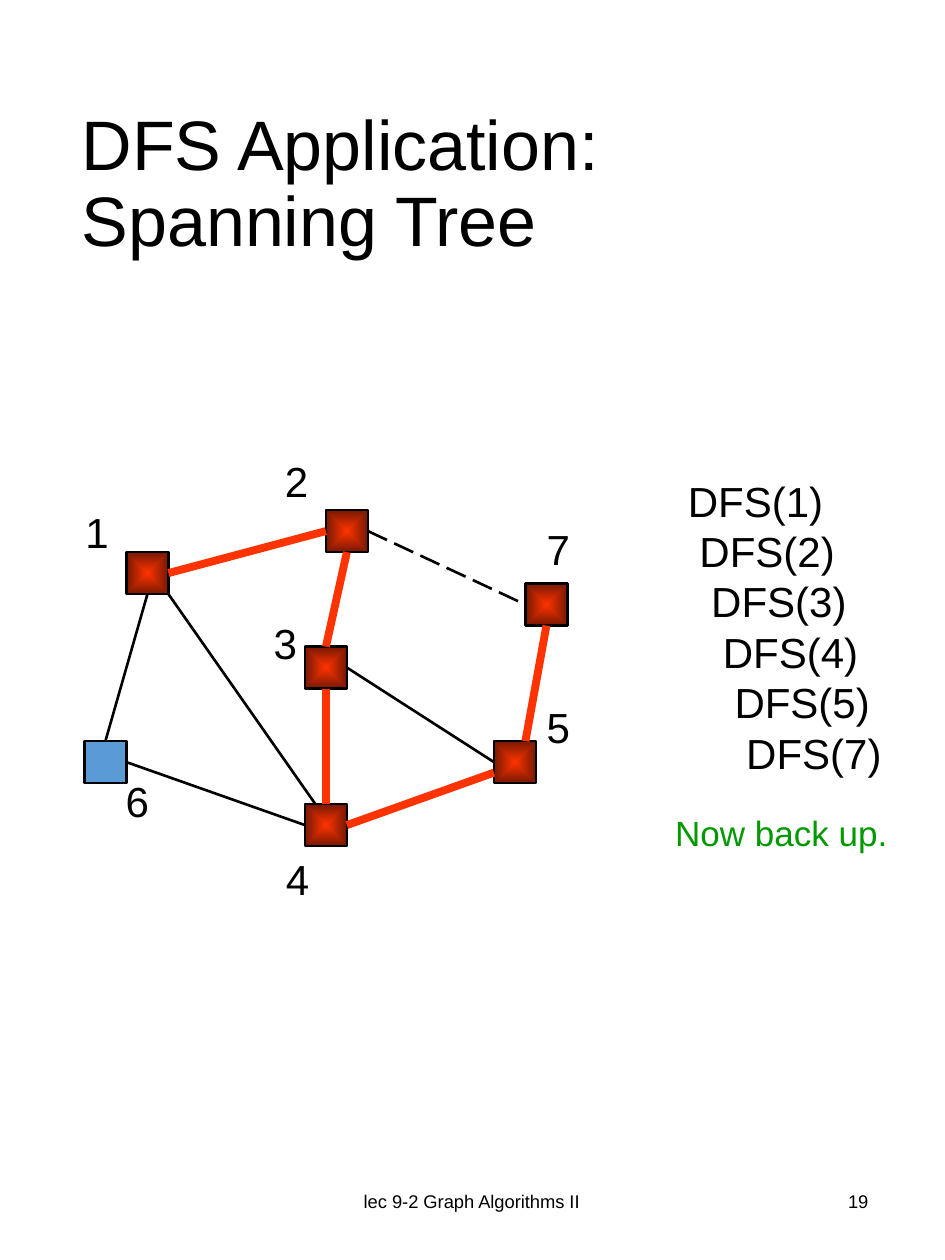
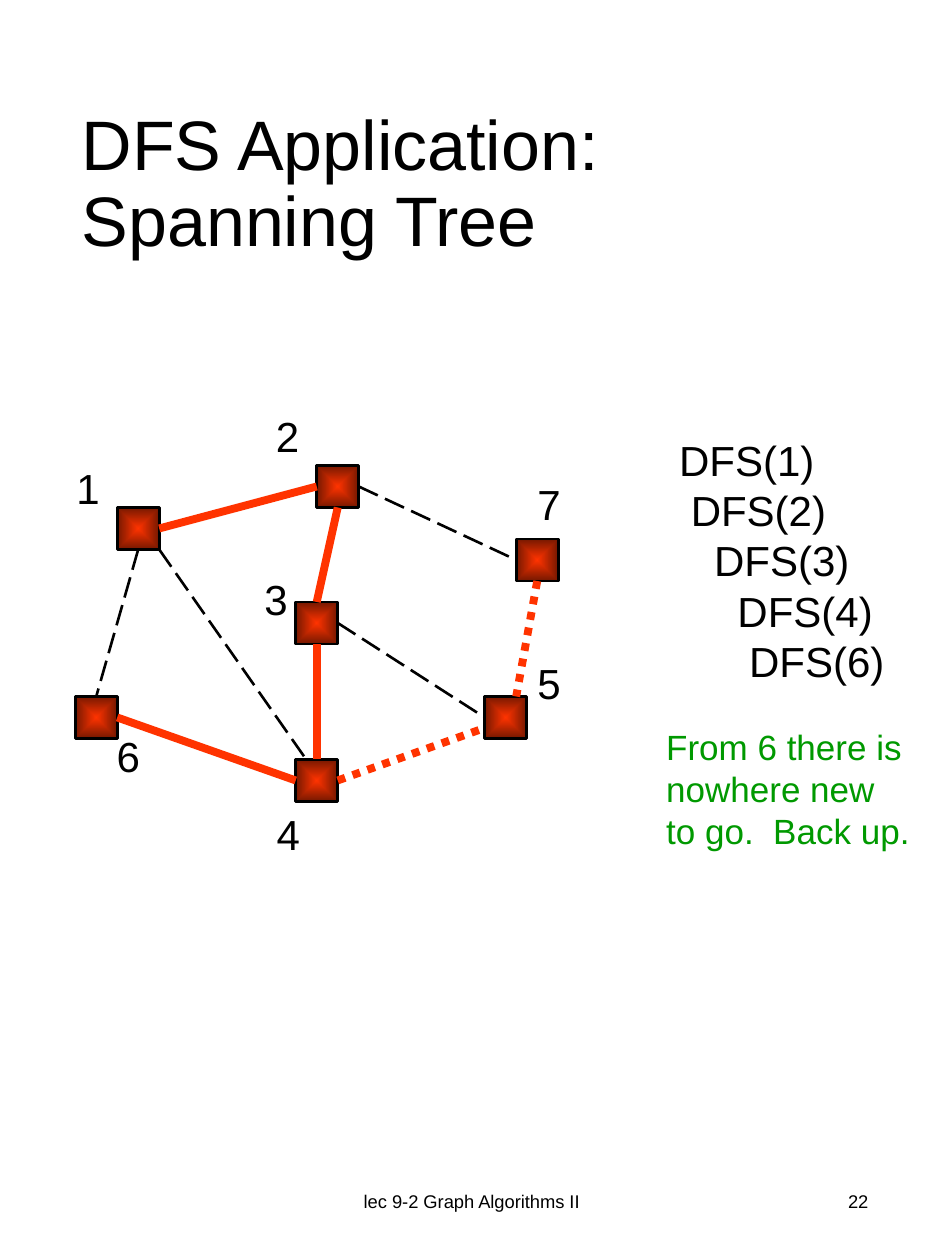
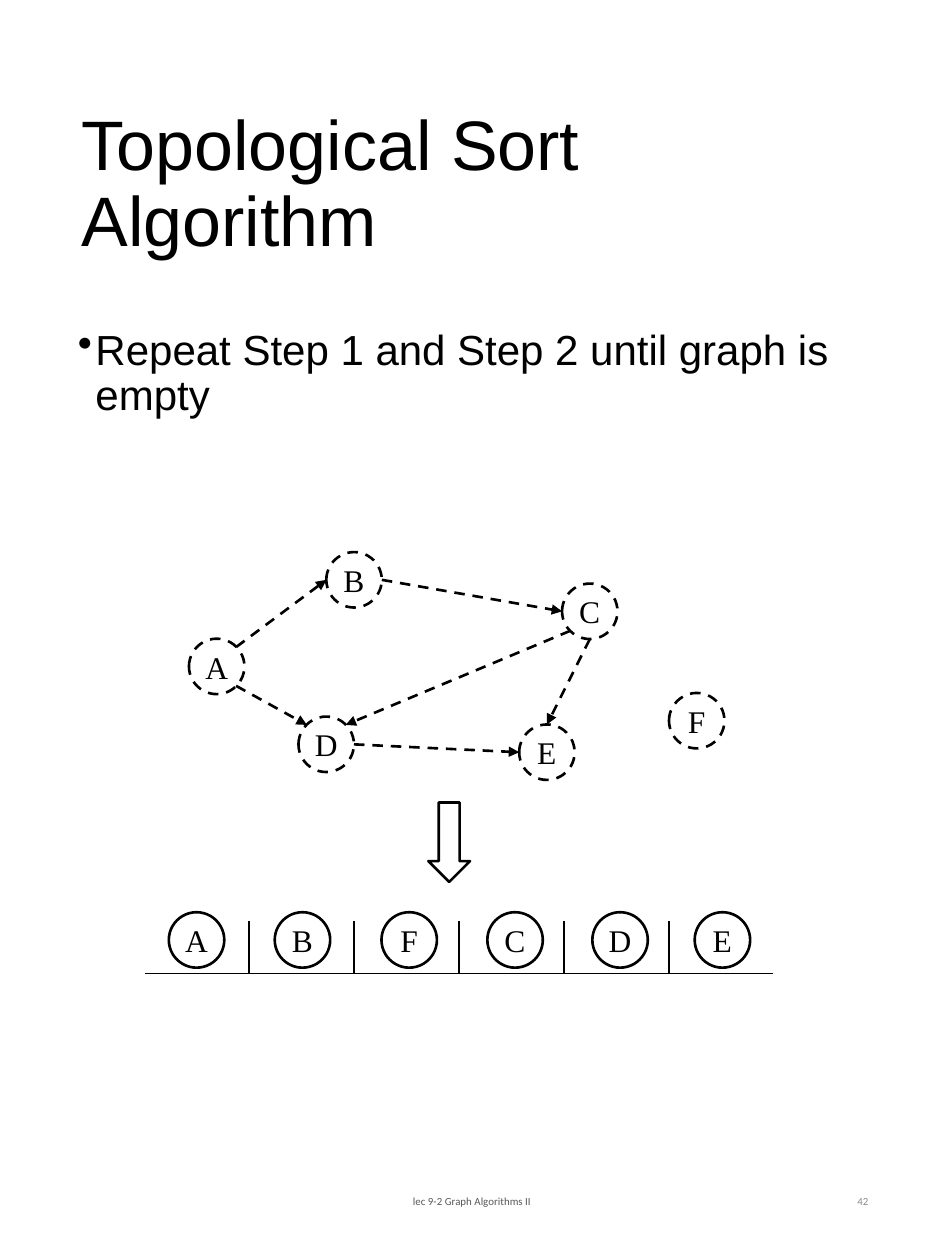
from lxml import etree
from pptx import Presentation
from pptx.dml.color import RGBColor
from pptx.enum.dml import MSO_LINE
from pptx.enum.shapes import MSO_CONNECTOR, MSO_SHAPE
from pptx.enum.text import MSO_ANCHOR, PP_ALIGN
from pptx.oxml.ns import qn
from pptx.util import Pt

STRAIGHT = MSO_CONNECTOR.STRAIGHT
RECTANGLE, OVAL, DOWN_ARROW = MSO_SHAPE.RECTANGLE, MSO_SHAPE.OVAL, MSO_SHAPE.DOWN_ARROW
LONG_DASH, DASH, DOT = MSO_LINE.LONG_DASH, MSO_LINE.DASH, MSO_LINE.ROUND_DOT
LEFT, CENTER, RIGHT = PP_ALIGN.LEFT, PP_ALIGN.CENTER, PP_ALIGN.RIGHT
TOP, MIDDLE = MSO_ANCHOR.TOP, MSO_ANCHOR.MIDDLE

COLORS = {
    "black": "000000", "white": "FFFFFF", "red": "FF3300", "dark_red": "761800",
    "blue": "5B9BD5", "green": "009900", "gray": "595959", "light_gray": "8C8C8C",
}

TEXT = {
    "title": {"name": "Arial", "size": 40, "color": "black"},
    "body": {"name": "Arial", "size": 24, "color": "black"},
    "note": {"name": "Arial", "size": 20, "color": "green"},
    "node": {"name": "Times New Roman", "size": 18, "color": "black"},
    "footer": {"name": "Arial", "size": 10.5, "color": "black"},
    "small_footer": {"name": "Calibri", "size": 6.2, "color": "gray"},
    "small_number": {"name": "Calibri", "size": 6.2, "color": "light_gray"},
}

LINES = {
    "outline": {"color": "black", "width": 1.5},
    "dashed": {"color": "black", "width": 1.5, "dash": DASH},
    "unused": {"color": "black", "width": 1.5, "dash": LONG_DASH},
    "tree": {"color": "red", "width": 4.5},
    "finished": {"color": "red", "width": 4.5, "dash": DOT},
}

FOOTER = "lec 9-2 Graph Algorithms II"

# Points on a node, as shares of its width and height
ANCHORS = {
    "top": (0.5, 0), "left": (0, 0.5), "bottom": (0.5, 1), "right": (1, 0.5),
    "corner": (1, 1), "top left part": (0.25, 0), "top right part": (0.75, 0),
    "lower left part": (0, 0.75),
    "northwest": (0.15, 0.15), "northeast": (0.85, 0.15),
    "southwest": (0.15, 0.85), "southeast": (0.85, 0.85),
}
SITES = {"top": 0, "left": 1, "bottom": 2, "right": 3}

# Search graph: square and label offsets from the graph origin
SQUARE = 24
SQUARES = {
    "1": (0, 0), "6": (-24, 108), "4": (102, 144), "5": (210, 108),
    "3": (102, 54), "2": (114, -24), "7": (228, 18),
}
LABELS = {
    "1": (-30.5, -29.5), "2": (83.5, -59), "7": (233, -20), "5": (233, 82),
    "4": (84, 168.5), "6": (-7.5, 124), "3": (77, 34),
}
EDGES = [
    ("1", "right", "2", "left"), ("2", "bottom", "3", "top"),
    ("2", "right", "7", "left"), ("3", "right", "5", "left"),
    ("7", "bottom", "5", "top right part"), ("3", "bottom", "4", "top"),
    ("4", "right", "5", "lower left part"), ("6", "right", "4", "left"),
    ("1", "bottom", "6", "top"), ("1", "corner", "4", "top left part"),
]

SEARCHES = [
    {
        "number": "19", "origin": (72.25, 315.5), "unvisited": ["6"],
        "edges": ["tree", "tree", "unused", "outline", "tree",
                  "tree", "tree", "outline", "outline", "outline"],
        "calls": [("DFS(1)", 0), ("DFS(2)", 1), ("DFS(3)", 2),
                  ("DFS(4)", 3), ("DFS(5)", 4), ("DFS(7)", 5)],
        "calls_at": (386, 268),
        "note": ["Now back up."], "note_at": (378.7, 460),
    },
    {
        "number": "22", "origin": (67, 290), "unvisited": [],
        "edges": ["tree", "tree", "unused", "unused", "finished",
                  "tree", "finished", "tree", "unused", "unused"],
        "calls": [("DFS(1)", 0), ("DFS(2)", 1), ("DFS(3)", 3),
                  ("DFS(4)", 5), ("DFS(6)", 6)],
        "calls_at": (381, 244.5),
        "note": ["From 6 there is", "nowhere new", "to go.  Back up."],
        "note_at": (373.6, 411),
    },
]
INDENT_STEP = 6.67

# Topological sort
CIRCLE = 31.7
CIRCLES = {
    "A": (108, 365), "B": (186.5, 315.5), "C": (321.2, 333.5),
    "E": (296.7, 414), "D": (170.6, 409.5), "F": (382.3, 396),
}
ARROWS = [
    ("C", "bottom", "E", "top"), ("D", "right", "E", "left"),
    ("A", "southeast", "D", "northwest"), ("C", "southwest", "D", "northeast"),
    ("B", "right", "C", "left"), ("A", "northeast", "B", "left"),
]
SORTED = {"A": 96.5, "B": 157, "F": 218, "C": 278.5, "D": 338.5, "E": 397}
SORTED_TOP = 521.3


def rgb(name):
    return RGBColor.from_string(COLORS[name])


def points(*values):
    return [Pt(value) for value in values]


def set_font(font, style):
    values = {**TEXT[style], "size": Pt(TEXT[style]["size"])}
    font.color.rgb = rgb(values.pop("color"))
    for key, value in values.items():
        setattr(font, key, value)


def set_line(line, style):
    values = LINES[style]
    line.color.rgb = rgb(values["color"])
    line.width = Pt(values["width"])
    if "dash" in values:
        line.dash_style = values["dash"]


def add_text(page, place, lines, style, align=LEFT, anchor=TOP, spacing=None):
    """Add a text box with one paragraph for each line; return its paragraphs."""
    frame = page.shapes.add_textbox(*points(*place)).text_frame
    frame.word_wrap = True
    frame.vertical_anchor = anchor
    for index, line in enumerate(lines):
        para = frame.paragraphs[0] if index == 0 else frame.add_paragraph()
        span = para.add_run()
        span.text = line
        set_font(span.font, style)
        para.alignment = align
        if spacing:
            para.line_spacing = spacing
    return frame.paragraphs


def set_indent(para, left, first=0):
    properties = para._p.get_or_add_pPr()
    properties.set("marL", str(Pt(left)))
    properties.set("indent", str(Pt(first)))
    return properties


def add_page(deck, title, number, footer_style="footer", number_style="footer"):
    page = deck.slides.add_slide(deck.slide_layouts[6])
    add_text(page, (39.6, 36.7, 466, 139), [title], "title", anchor=MIDDLE, spacing=0.9)
    add_text(page, (178.6, 667.4, 182, 38), [FOOTER], footer_style, CENTER, MIDDLE)
    add_text(page, (381.6, 667.4, 121.7, 38), [number], number_style, RIGHT, MIDDLE)
    return page


def add_outlined(page, kind, place, line="outline"):
    shape = page.shapes.add_shape(kind, *points(*place))
    shape.shadow.inherit = False
    shape.fill.background()
    set_line(shape.line, line)
    return shape


def fill_glow(shape):
    """Fill from red in the middle to dark red at the edges."""
    shape.fill.gradient()
    for stop, position, color in zip(shape.fill.gradient_stops, (0, 1), ("red", "dark_red")):
        stop.position = position
        stop.color.rgb = rgb(color)
    gradient = shape._element.spPr.find(qn("a:gradFill"))
    gradient.remove(gradient.find(qn("a:lin")))
    shade = etree.SubElement(gradient, qn("a:path"), {"path": "shape"})
    etree.SubElement(shade, qn("a:fillToRect"), dict.fromkeys("ltrb", "50000"))


def anchor_point(shape, anchor):
    across, down = ANCHORS[anchor]
    return (int(shape.left + across * shape.width), int(shape.top + down * shape.height))


def join(page, start, start_anchor, end, end_anchor, style, glue=False, arrow=False):
    line = page.shapes.add_connector(
        STRAIGHT, *anchor_point(start, start_anchor), *anchor_point(end, end_anchor))
    if glue and start_anchor in SITES:
        line.begin_connect(start, SITES[start_anchor])
    if glue and end_anchor in SITES:
        line.end_connect(end, SITES[end_anchor])
    set_line(line.line, style)
    if arrow:
        etree.SubElement(line.line._get_or_add_ln(), qn("a:tailEnd"), {"type": "triangle"})
    etree.SubElement(line._element.spPr, qn("a:effectLst"))


def add_circle(page, letter, left, top, line):
    circle = add_outlined(page, OVAL, (left, top, CIRCLE, CIRCLE), line)
    frame = circle.text_frame
    frame.word_wrap = False
    frame.vertical_anchor = MIDDLE
    para = frame.paragraphs[0]
    para.alignment = CENTER
    span = para.add_run()
    span.text = letter
    set_font(span.font, "node")
    return circle


def add_slots(page, count):
    """Add the row of empty slots, open at the top and at both ends."""
    table = page.shapes.add_table(1, count, *points(82.3, 527, 60 * count, 29.3)).table
    table.first_row = table.horz_banding = False
    for index, cell in enumerate(table.rows[0].cells):
        cell.fill.background()
        borders = {
            "lnL": "black" if index else "white",
            "lnR": "black" if index < count - 1 else "white",
            "lnT": "white",
            "lnB": "black",
        }
        properties = cell._tc.get_or_add_tcPr()
        for order, (side, color) in enumerate(borders.items()):
            border = etree.Element(qn("a:" + side), {"w": str(Pt(1))})
            fill = etree.SubElement(border, qn("a:solidFill"))
            etree.SubElement(fill, qn("a:srgbClr"), {"val": COLORS[color]})
            properties.insert(order, border)


def add_search_page(deck, search):
    page = add_page(deck, "DFS Application: Spanning Tree", search["number"])
    left, top = search["origin"]
    squares = {}
    for name, (x, y) in SQUARES.items():
        square = add_outlined(page, RECTANGLE, (left + x, top + y, SQUARE, SQUARE))
        if name in search["unvisited"]:
            square.fill.solid()
            square.fill.fore_color.rgb = rgb("blue")
        else:
            fill_glow(square)
        squares[name] = square
    for (start, start_anchor, end, end_anchor), style in zip(EDGES, search["edges"]):
        join(page, squares[start], start_anchor, squares[end], end_anchor, style, glue=True)
    for name, (x, y) in LABELS.items():
        add_text(page, (left + x, top + y, 28.5, 36), [name], "body", spacing=Pt(28.8))

    calls = search["calls"]
    paras = add_text(page, (*search["calls_at"], 136, 28.8 * len(calls) + 7.2),
                     [call for call, depth in calls], "body", spacing=Pt(28.8))
    for para, (call, depth) in zip(paras, calls):
        set_indent(para, INDENT_STEP * depth)
    note = search["note"]
    add_text(page, (*search["note_at"], 160.5, 24 * len(note) + 7.2), note, "note",
             spacing=Pt(24))


def add_sort_page(deck):
    page = add_page(deck, "Topological Sort Algorithm", "42", "small_footer", "small_number")
    para = add_text(page, (37.4, 184.3, 466, 456.5),
                    ["Repeat Step 1 and Step 2 until graph is empty"], "body", spacing=0.9)[0]
    etree.SubElement(set_indent(para, 10.1, -10.1), qn("a:buChar"), {"char": "•"})

    circles = {letter: add_circle(page, letter, left, top, "dashed")
               for letter, (left, top) in CIRCLES.items()}
    for start, start_anchor, end, end_anchor in ARROWS:
        join(page, circles[start], start_anchor, circles[end], end_anchor, "dashed", arrow=True)
    add_slots(page, len(SORTED))
    for letter, left in SORTED.items():
        add_circle(page, letter, left, SORTED_TOP, "outline")
    add_outlined(page, DOWN_ARROW, (244.8, 458.6, 23.8, 45.4))


def main():
    deck = Presentation()
    deck.slide_width, deck.slide_height = points(540, 720)
    for search in SEARCHES:
        add_search_page(deck, search)
    add_sort_page(deck)
    deck.save("out.pptx")


if __name__ == "__main__":
    main()
